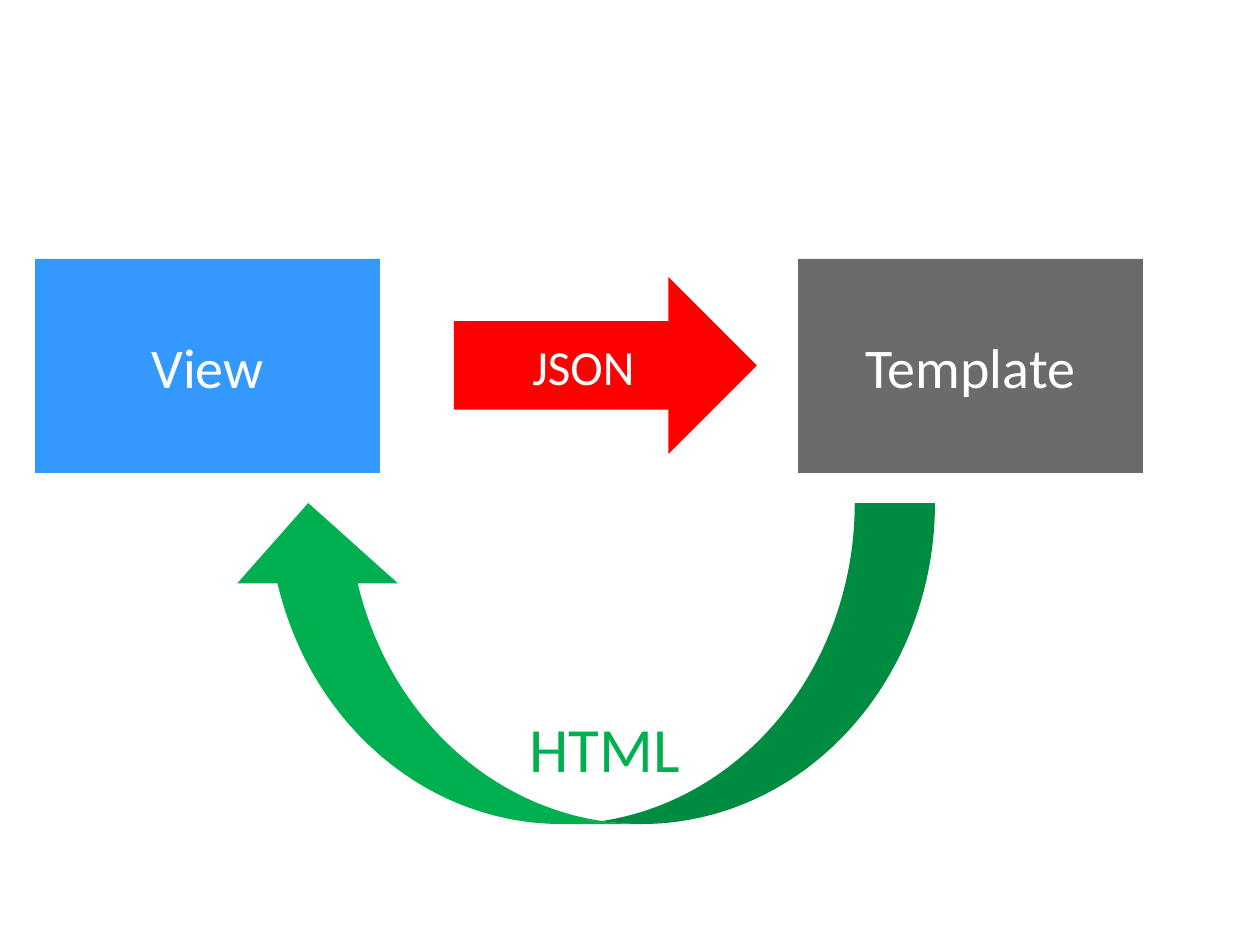
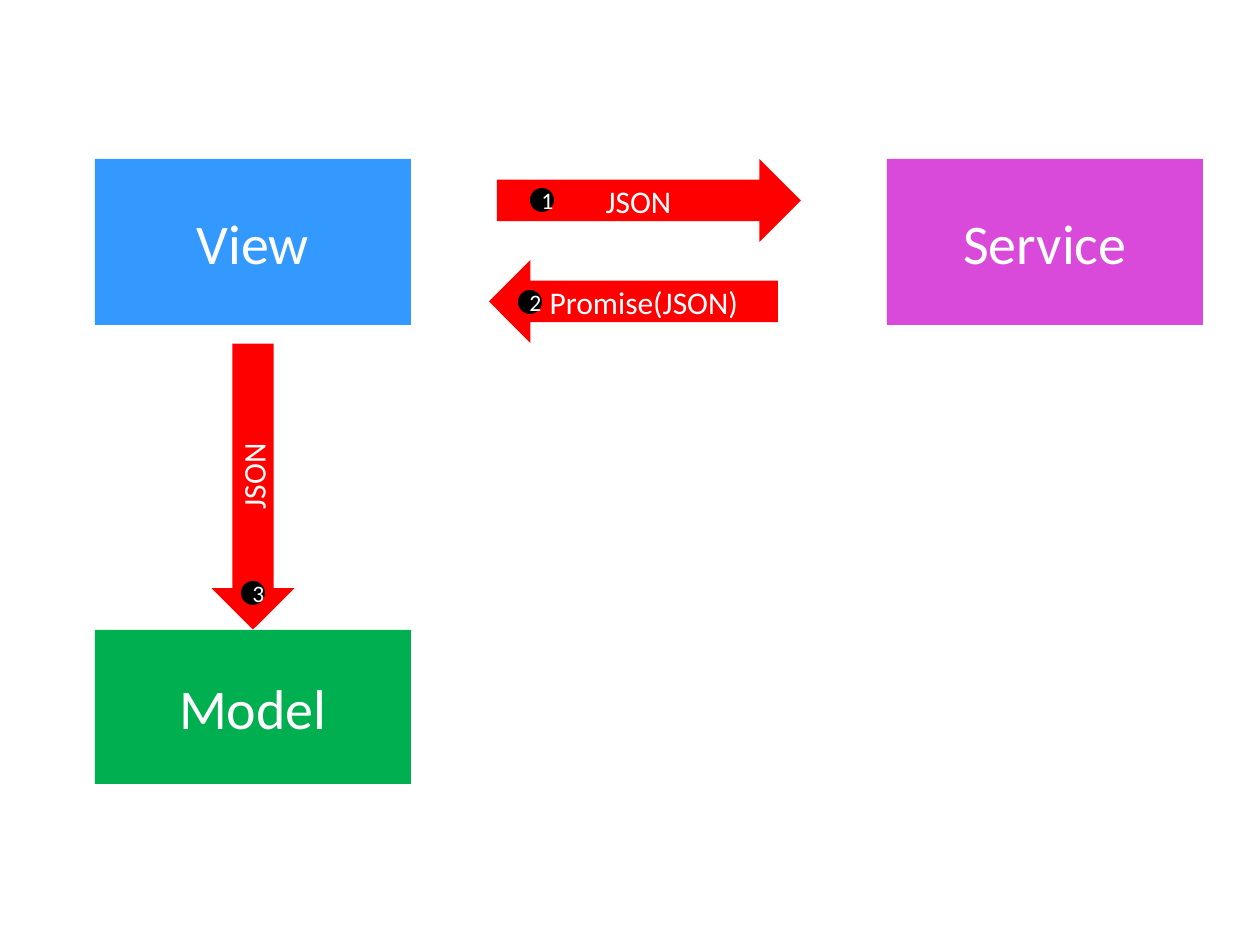
"""Build two slides showing how views, templates, services and models exchange data."""
from pptx import Presentation
from pptx.dml.color import RGBColor
from pptx.enum.shapes import MSO_SHAPE
from pptx.enum.text import MSO_ANCHOR, MSO_AUTO_SIZE, PP_ALIGN
from pptx.oxml.ns import qn
from pptx.util import Emu, Pt
from lxml import etree

RECTANGLE = MSO_SHAPE.RECTANGLE
RIGHT_ARROW = MSO_SHAPE.RIGHT_ARROW
LEFT_ARROW = MSO_SHAPE.LEFT_ARROW
CURVED_ARROW = MSO_SHAPE.CURVED_DOWN_ARROW
BADGE = MSO_SHAPE.FLOWCHART_CONNECTOR
MIDDLE = MSO_ANCHOR.MIDDLE
CENTER = PP_ALIGN.CENTER
FIT_TEXT = MSO_AUTO_SIZE.SHAPE_TO_FIT_TEXT

BLUE = RGBColor(0x33, 0x99, 0xFF)
GRAY = RGBColor(0x33, 0x33, 0x33)
PURPLE = RGBColor(0xCC, 0x00, 0xCC)
RED = RGBColor(0xFF, 0x00, 0x00)
GREEN = RGBColor(0x00, 0xB0, 0x50)
BLACK = RGBColor(0x00, 0x00, 0x00)
WHITE = RGBColor(0xFF, 0xFF, 0xFF)
FONT = "Calibri"
EMU_PER_PX = 914400 / 126
BADGE_SIZE = 24


def px(length):
    return Emu(round(length * EMU_PER_PX))


def add_figure(page, kind, place, color, text="", size=18, opacity=100, turn=0):
    figure = page.shapes.add_shape(kind, *map(px, place))
    figure.shadow.inherit = False
    figure.rotation = turn
    figure.line.fill.background()
    figure.fill.solid()
    figure.fill.fore_color.rgb = color
    if opacity < 100:
        color_node = figure.fill._xPr.find(qn("a:solidFill"))[0]
        etree.SubElement(color_node, qn("a:alpha")).set("val", str(opacity * 1000))
    frame = figure.text_frame
    frame.vertical_anchor = MIDDLE
    if kind in (RECTANGLE, BADGE):
        frame.margin_left = frame.margin_right = px(9)
        frame.margin_top = frame.margin_bottom = px(5)
    if text:
        para = frame.paragraphs[0]
        para.alignment = CENTER
        span = para.add_run()
        span.text = text
        span.font.name = FONT
        span.font.size = Pt(size)
        span.font.color.rgb = WHITE


deck = Presentation()
deck.slide_width, deck.slide_height = px(1260), px(945)
blank = deck.slide_layouts[6]

page = deck.slides.add_slide(blank)
for left, color, name, opacity in ((35, BLUE, "View", 100), (798, GRAY, "Template", 72)):
    add_figure(page, RECTANGLE, (left, 259, 345, 214), color, name, 32, opacity)
add_figure(page, RIGHT_ARROW, (454, 277, 303, 177), RED, "JSON", 28)
add_figure(page, CURVED_ARROW, (228, 503, 707, 321), GREEN, turn=180)

html_box = page.shapes.add_textbox(*map(px, (517, 703, 241, 89)))
html_box.text_frame.word_wrap = True
html_box.text_frame.auto_size = FIT_TEXT
span = html_box.text_frame.paragraphs[0].add_run()
span.text = "HTML"
span.font.name = FONT
span.font.size = Pt(36)
span.font.color.rgb = GREEN

page = deck.slides.add_slide(blank)
for left, top, height, color, name, opacity in (
    (95, 159, 166, BLUE, "View", 100),
    (95, 630, 154, GREEN, "Model", 100),
    (887, 159, 166, PURPLE, "Service", 71),
):
    add_figure(page, RECTANGLE, (left, top, 316, height), color, name, 32, opacity)

for kind, left, top, width, label, turn in (
    (RIGHT_ARROW, 497, 159, 304, "JSON", 0),
    (LEFT_ARROW, 489, 260, 289, "Promise(JSON)", 0),
    (LEFT_ARROW, 110, 445, 286, "JSON", 270),
):
    add_figure(page, kind, (left, top, width, 83), RED, label, turn=turn)

for number, (left, top) in enumerate(((530, 188), (518, 290), (241, 581)), 1):
    place = (left, top, BADGE_SIZE, BADGE_SIZE)
    add_figure(page, BADGE, place, BLACK, str(number), 13.5)

deck.save("out.pptx")
